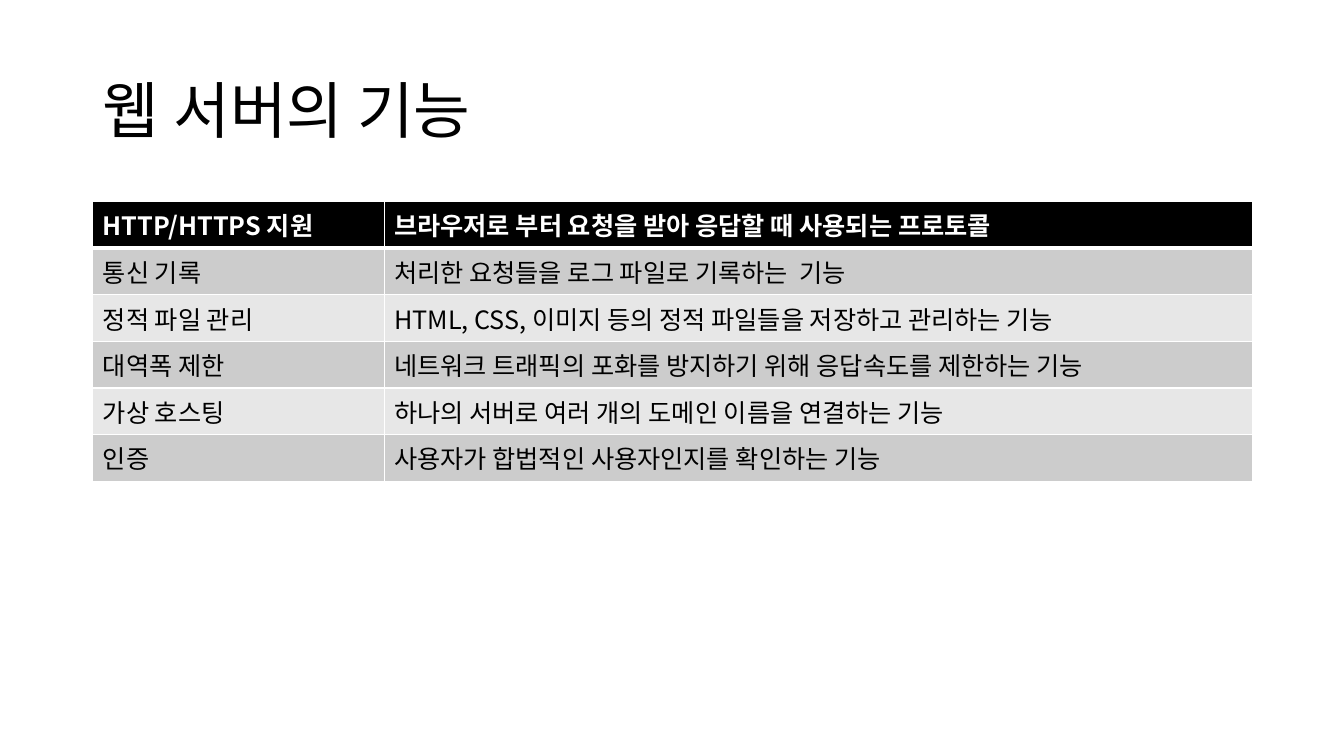
from dataclasses import dataclass

import lxml.etree
import pptx
import pptx.dml.color
import pptx.enum.text
import pptx.oxml.ns
import pptx.slide
import pptx.table
import pptx.text.text
import pptx.util


@dataclass(frozen=True)
class Theme:
    font: str = "Noto Sans CJK KR"
    title_size: int = 44
    table_size: int = 18
    ink: str = "000000"
    paper: str = "FFFFFF"
    bands: tuple[str, str] = ("CCCCCC", "E7E7E7")
    rule_width: float = 1
    header_rule_width: float = 3


@dataclass(frozen=True)
class Feature:
    name: str
    purpose: str


THEME = Theme()
LEFT, WIDTH = 0.92, 11.5
NAME_WIDTH = 2.89
ROW_HEIGHT = 0.41
FEATURES = [
    Feature("HTTP/HTTPS 지원", "브라우저로 부터 요청을 받아 응답할 때 사용되는 프로토콜"),
    Feature("통신 기록", "처리한 요청들을 로그 파일로 기록하는  기능"),
    Feature("정적 파일 관리", "HTML, CSS, 이미지 등의 정적 파일들을 저장하고 관리하는 기능"),
    Feature("대역폭 제한", "네트워크 트래픽의 포화를 방지하기 위해 응답속도를 제한하는 기능"),
    Feature("가상 호스팅", "하나의 서버로 여러 개의 도메인 이름을 연결하는 기능"),
    Feature("인증", "사용자가 합법적인 사용자인지를 확인하는 기능"),
]


def add_run(paragraph: pptx.text.text._Paragraph, text: str, size: int,
            color: str, bold: bool = False) -> None:
    run = paragraph.add_run()
    run.text = text
    run.font.name = THEME.font
    run.font.size = pptx.util.Pt(size)
    run.font.bold = bold
    run.font.color.rgb = pptx.dml.color.RGBColor.from_string(color)
    east_asian = lxml.etree.SubElement(run._r.get_or_add_rPr(), pptx.oxml.ns.qn("a:ea"))
    east_asian.set("typeface", THEME.font)


def add_borders(cell: pptx.table._Cell, top: float, bottom: float) -> None:
    properties = cell._tc.get_or_add_tcPr()
    widths = {"L": THEME.rule_width, "R": THEME.rule_width, "T": top, "B": bottom}
    for side, width in widths.items():
        border = lxml.etree.SubElement(properties, pptx.oxml.ns.qn(f"a:ln{side}"))
        border.set("w", str(pptx.util.Pt(width)))
        fill = lxml.etree.SubElement(border, pptx.oxml.ns.qn("a:solidFill"))
        lxml.etree.SubElement(fill, pptx.oxml.ns.qn("a:srgbClr")).set("val", THEME.paper)


def add_title(slide: pptx.slide.Slide, text: str) -> None:
    title = slide.shapes.title
    title.left, title.top = pptx.util.Inches(LEFT), pptx.util.Inches(0.4)
    title.width, title.height = pptx.util.Inches(WIDTH), pptx.util.Inches(1.45)
    frame = title.text_frame
    frame.auto_size = pptx.enum.text.MSO_AUTO_SIZE.NONE
    frame.vertical_anchor = pptx.enum.text.MSO_ANCHOR.MIDDLE
    heading = frame.paragraphs[0]
    heading.alignment = pptx.enum.text.PP_ALIGN.LEFT
    heading.line_spacing = 0.9
    add_run(heading, text, THEME.title_size, THEME.ink)


def add_feature_table(slide: pptx.slide.Slide, features: list[Feature]) -> None:
    table = slide.shapes.add_table(
        len(features), 2, pptx.util.Inches(LEFT), pptx.util.Inches(2),
        pptx.util.Inches(WIDTH), pptx.util.Inches(ROW_HEIGHT * len(features))).table
    table.horz_banding = False
    table.columns[0].width = pptx.util.Inches(NAME_WIDTH)
    table.columns[1].width = pptx.util.Inches(WIDTH - NAME_WIDTH)
    for index, feature in enumerate(features):
        is_header = index == 0
        background = THEME.ink if is_header else THEME.bands[(index - 1) % 2]
        top = THEME.header_rule_width if index == 1 else THEME.rule_width
        bottom = THEME.header_rule_width if is_header else THEME.rule_width
        for column, text in enumerate((feature.name, feature.purpose)):
            cell = table.cell(index, column)
            add_borders(cell, top, bottom)
            cell.fill.solid()
            cell.fill.fore_color.rgb = pptx.dml.color.RGBColor.from_string(background)
            add_run(cell.text_frame.paragraphs[0], text, THEME.table_size,
                    THEME.paper if is_header else THEME.ink, is_header)


def main() -> None:
    deck = pptx.Presentation()
    deck.slide_width = pptx.util.Inches(13.33)
    deck.slide_height = pptx.util.Inches(7.5)
    slide = deck.slides.add_slide(deck.slide_layouts.get_by_name("Title Only"))
    add_title(slide, "웹 서버의 기능")
    add_feature_table(slide, FEATURES)
    deck.save("out.pptx")


if __name__ == "__main__":
    main()
